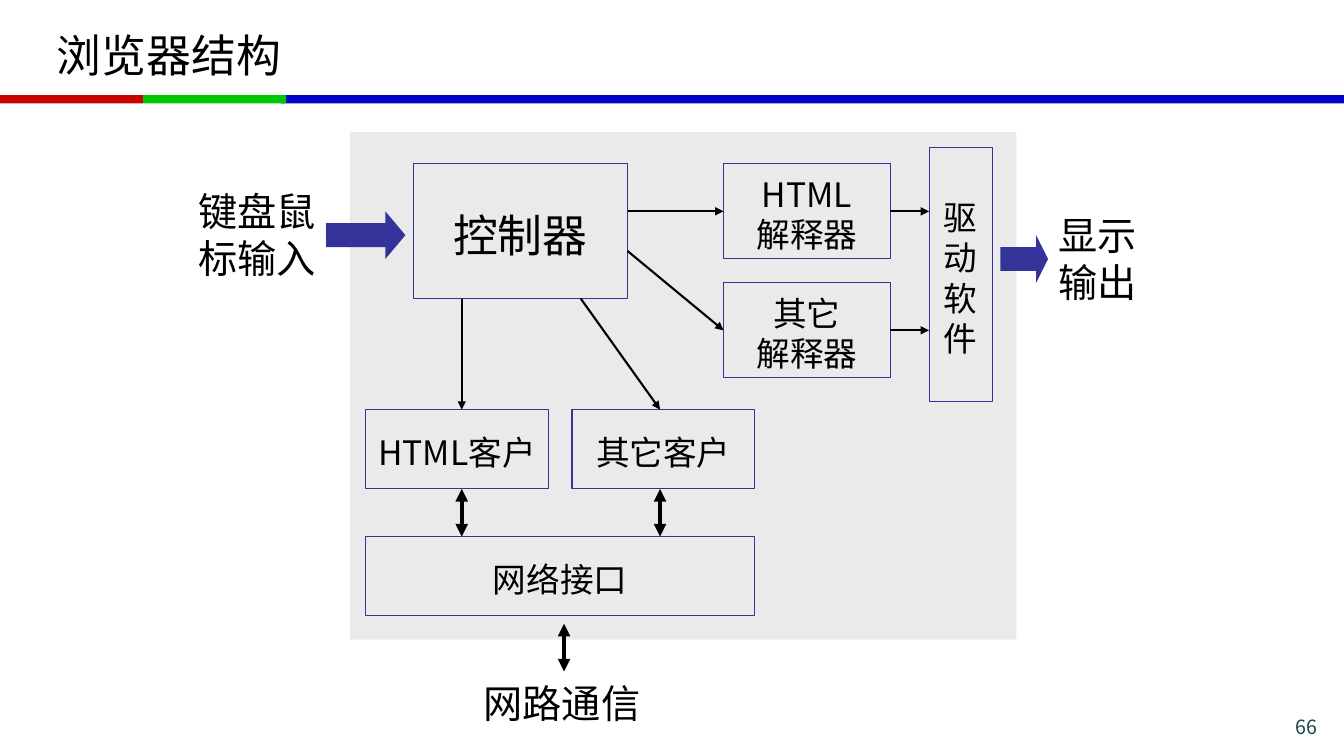
from dataclasses import dataclass

from lxml.etree import SubElement
from pptx import Presentation
from pptx.dml.color import RGBColor
from pptx.enum.shapes import MSO_CONNECTOR as Connector, MSO_SHAPE as Preset
from pptx.enum.text import MSO_ANCHOR as Anchor, MSO_AUTO_SIZE as AutoSize, PP_ALIGN as Align
from pptx.oxml.ns import qn
from pptx.util import Inches, Pt


@dataclass(frozen=True)
class Theme:
    """Colours, type sizes and measures of the slide."""

    font: str = "Noto Sans CJK SC"
    ink: str = "000000"
    accent: str = "333399"
    panel: str = "EAEAEA"
    red: str = "C80000"
    green: str = "00C800"
    blue: str = "0000C8"
    page: str = "1E4649"
    heading: int = 32
    label: int = 28
    body: int = 24
    small: int = 14
    leading: float = 1.2
    drop: float = 0.08
    width: float = 13.33
    height: float = 7.5
    left: float = 3.47
    top: float = 1.31
    unit: float = 6.61 / 42


class DiagramSlide:
    """Draws themed elements on one slide, placed by grid units or slide shares."""

    def __init__(self, presentation, theme):
        self.theme = theme
        presentation.slide_width = Inches(theme.width)
        presentation.slide_height = Inches(theme.height)
        self.slide = presentation.slides.add_slide(presentation.slide_layouts[6])

    def point(self, column, row):
        theme = self.theme
        return Inches(theme.left + column * theme.unit), Inches(theme.top + row * theme.unit)

    def grid(self, column, row, columns, rows):
        unit = self.theme.unit
        return *self.point(column, row), Inches(columns * unit), Inches(rows * unit)

    def share(self, left, top, width, height):
        theme = self.theme
        return (Inches(left / 100 * theme.width), Inches(top / 100 * theme.height),
                Inches(width / 100 * theme.width), Inches(height / 100 * theme.height))

    def set_text(self, shape, text, size, align, anchor, color=None):
        theme = self.theme
        frame = shape.text_frame
        frame.text = text
        frame.word_wrap = False
        frame.vertical_anchor = anchor
        frame.margin_top = Pt(3.6 + theme.drop * size)
        frame.margin_bottom = Pt(3.6 - theme.drop * size)
        for paragraph in frame.paragraphs:
            paragraph.alignment = align
            paragraph.line_spacing = Pt(theme.leading * size)
            for run in paragraph.runs:
                run.font.size = Pt(size)
                run.font.name = theme.font
                run.font.color.rgb = RGBColor.from_string(color or theme.ink)
                SubElement(run._r.get_or_add_rPr(), qn("a:ea"), typeface=theme.font)

    def block(self, box, color, preset=Preset.RECTANGLE, adjustments=()):
        shape = self.slide.shapes.add_shape(preset, *box)
        shape.shadow.inherit = False
        shape.fill.solid()
        shape.fill.fore_color.rgb = RGBColor.from_string(color)
        shape.line.fill.background()
        for index, value in enumerate(adjustments):
            shape.adjustments[index] = value

    def node(self, box, text, size):
        shape = self.slide.shapes.add_shape(Preset.RECTANGLE, *box)
        shape.shadow.inherit = False
        shape.fill.background()
        shape.line.color.rgb = RGBColor.from_string(self.theme.accent)
        shape.line.width = Pt(0.75)
        self.set_text(shape, text, size, Align.CENTER, Anchor.MIDDLE)

    def text(self, box, text, size, align=Align.LEFT, color=None):
        shape = self.slide.shapes.add_textbox(*box)
        self.set_text(shape, text, size, align, Anchor.MIDDLE, color)
        shape.text_frame.word_wrap = True

    def label(self, box, text):
        shape = self.slide.shapes.add_textbox(*box)
        self.set_text(shape, text, self.theme.label, Align.LEFT, Anchor.TOP)
        shape.text_frame.auto_size = AutoSize.SHAPE_TO_FIT_TEXT

    def arrow(self, start, end, width=1.5, both=False):
        connector = self.slide.shapes.add_connector(
            Connector.STRAIGHT, *self.point(*start), *self.point(*end))
        connector.line.color.rgb = RGBColor.from_string(self.theme.ink)
        connector.line.width = Pt(width)
        line = connector.line._get_or_add_ln()
        for tag in ("a:headEnd", "a:tailEnd") if both else ("a:tailEnd",):
            SubElement(line, qn(tag), type="triangle")
        SubElement(connector._element.spPr, qn("a:effectLst"))


def main():
    """Build the browser structure slide."""
    theme = Theme()
    presentation = Presentation()
    diagram = DiagramSlide(presentation, theme)
    grid, share = diagram.grid, diagram.share

    for left, width, color in ((20.9, 79.1, theme.blue), (0, 10.65, theme.red),
                               (10.65, 10.65, theme.green)):
        diagram.block(share(left, 12.6, width, 1.07), color)
    diagram.text(share(3.5, 1.1, 93, 11.2), "浏览器结构", theme.heading)
    diagram.text(share(89, 94.1, 9.75, 3.7), "66", theme.small, Align.RIGHT, theme.page)

    diagram.block(grid(0, 0, 42, 32), theme.panel)
    diagram.node(grid(4, 2, 13.5, 8.5), "控制器", theme.heading)
    for box, text in (
        ((23.55, 2, 10.5, 6), "HTML\n解释器"),
        ((23.55, 9.5, 10.5, 6), "其它\n解释器"),
        ((1, 17.5, 11.5, 5), "HTML客户"),
        ((14, 17.5, 11.5, 5), "其它客户"),
        ((1, 25.5, 24.5, 5), "网络接口"),
        ((36.5, 1, 4, 16), "驱\n动\n软\n件"),
    ):
        diagram.node(grid(*box), text, theme.body)

    for box, text in (
        ((-10.15, 3, 8.7, 6.5), "键盘鼠\n标输入"),
        ((44.05, 4.5, 6.2, 6.5), "显示\n输出"),
        ((7.8, 34, 11.2, 3.6), "网路通信"),
    ):
        diagram.label(grid(*box), text)
    for box, head in (((-1.5, 5, 5, 3), 0.42), ((41, 6.5, 3, 3), 0.25)):
        diagram.block(grid(*box), theme.accent, Preset.RIGHT_ARROW, (0.5, head))

    for column, row in ((13.5, 31), (7.05, 22.5), (19.55, 22.5)):
        diagram.arrow((column, row), (column, row + 3), width=3, both=True)
    for start, end in (
        ((7.05, 10.5), (7.05, 17.5)),
        ((14.55, 10.5), (19.55, 17.5)),
        ((17.5, 5), (23.55, 5)),
        ((17.5, 7.5), (23.55, 12.5)),
        ((34.05, 5), (36.5, 5)),
        ((34.05, 12.5), (36.5, 12.5)),
    ):
        diagram.arrow(start, end)

    presentation.save("out.pptx")


if __name__ == "__main__":
    main()
